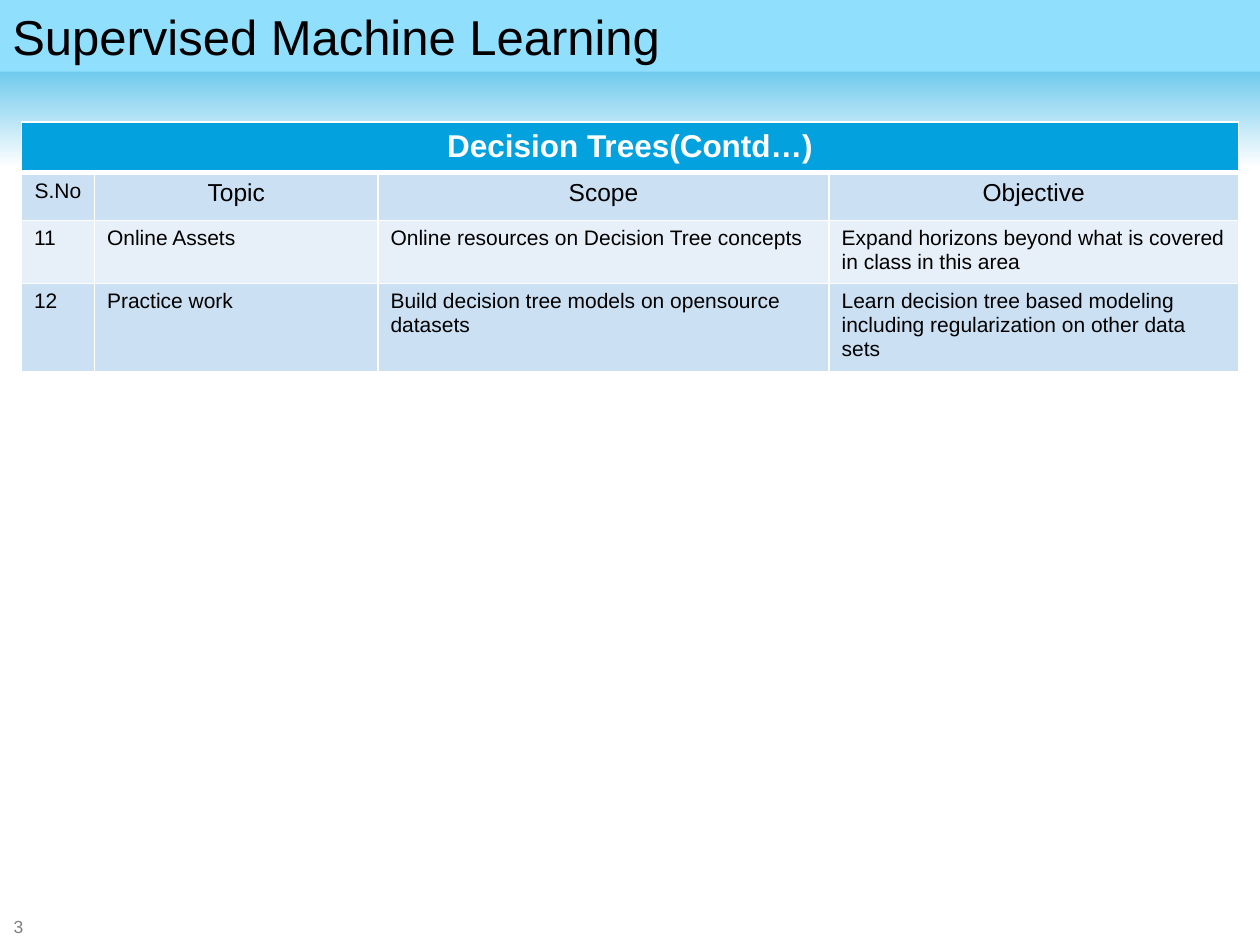
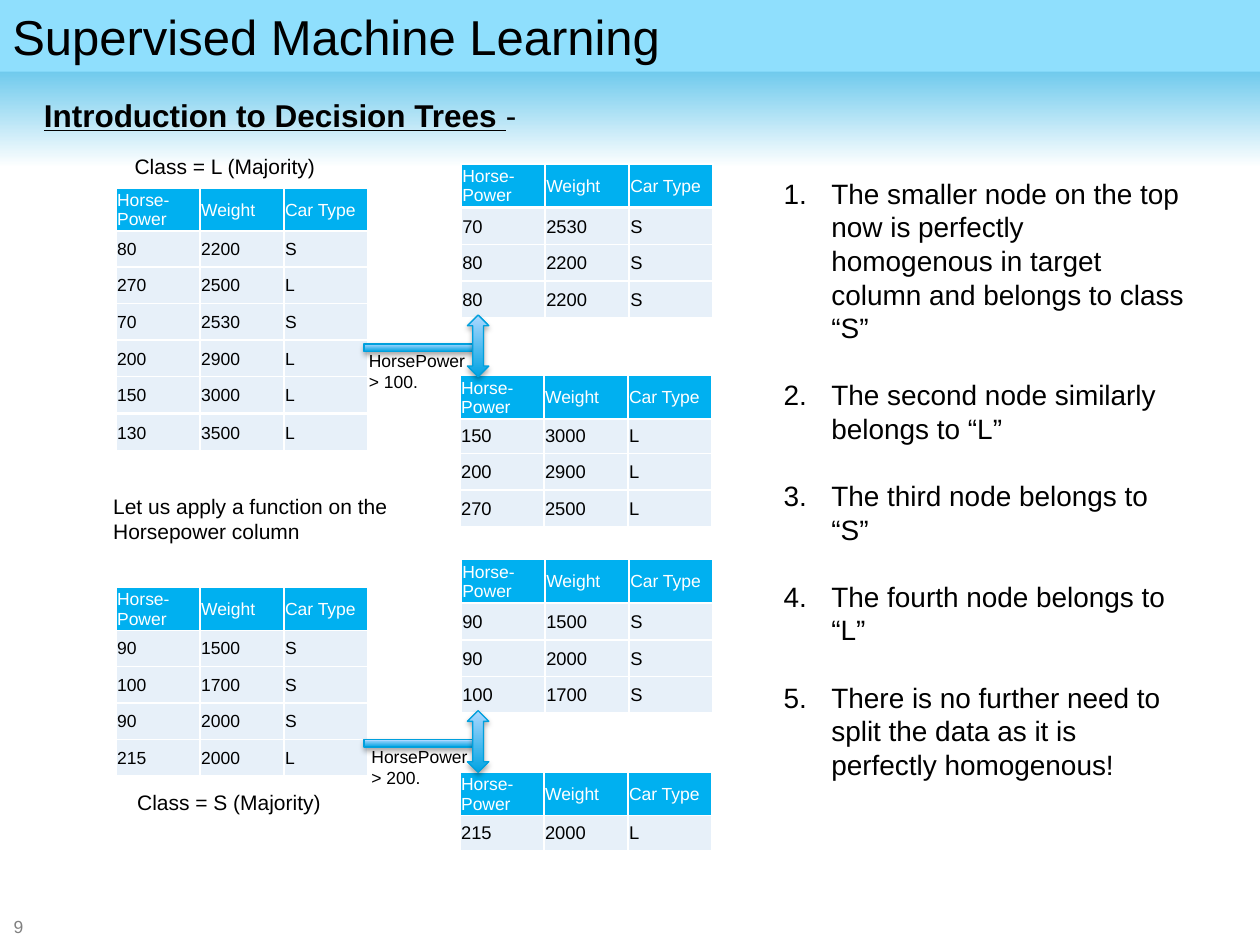
from lxml.etree import SubElement
from pptx import Presentation
from pptx.dml.color import RGBColor
from pptx.enum.shapes import MSO_SHAPE
from pptx.enum.text import MSO_ANCHOR, PP_ALIGN
from pptx.oxml.ns import qn
from pptx.util import Inches, Pt

COLORS = {
    "black": "000000", "white": "FFFFFF", "gray": "808080",
    "title_bar": "8FDFFD", "deep_blue": "03A2DF", "header": "00B0F0",
    "row_dark": "CCE0F3", "row_light": "E7F0F9",
    "arrow_dark": "00A3E2", "arrow_light": "ADD8FF", "arrow_line": "00A0DD",
}
ROW_HEIGHT = 0.29
HEADER_HEIGHT = 0.34
NODE_COLUMNS = [2 / 3] * 3
NODE_HEADER = [["Horse-Power", "Weight", "Car Type"]]
NODE_CELL = {
    "vertical_anchor": MSO_ANCHOR.MIDDLE, "margin_left": Inches(0.01),
    "margin_top": Inches(0.01), "margin_right": Inches(0.01), "margin_bottom": 0,
}
TOPIC_COLUMNS = [0.58, 2.25, 3.58, 3.25]
TOPIC_HEIGHTS = [0.28, 0.38, 0.41, 0.41]
TOPIC_ROWS = [
    ["Decision Trees(Contd…)", "", "", ""],
    ["S.No", "Topic", "Scope", "Objective"],
    ["11", "Online Assets", "Online resources on Decision Tree concepts",
     "Expand horizons beyond what is covered in class in this area"],
    ["12", "Practice work", "Build decision tree models on opensource datasets",
     "Learn decision tree based modeling including regularization on other data sets"],
]
NODE_BODIES = [
    (0.92, 1.83, 1.46, 10, [["80", "2200", "S"], ["270", "2500", "L"], ["70", "2530", "S"],
                            ["200", "2900", "L"], ["150", "3000", "L"]]),
    (0.92, 3.29, 0.29, 10, [["130", "3500", "L"]]),
    (0.92, 5, 1.18, 10, [["90", "1500", "S"], ["100", "1700", "S"],
                         ["90", "2000", "S"], ["215", "2000", "L"]]),
    (3.66, 4.79, 0.89, 10.5, [["90", "1500", "S"], ["90", "2000", "S"], ["100", "1700", "S"]]),
    (3.65, 6.46, 0.29, 10.5, [["215", "2000", "L"]]),
    (3.66, 1.65, 0.88, 10.5, [["70", "2530", "S"], ["80", "2200", "S"], ["80", "2200", "S"]]),
    (3.65, 3.31, 0.88, 10.5, [["150", "3000", "L"], ["200", "2900", "L"], ["270", "2500", "L"]]),
]
HEADER_PLACES = [(0.92, 1.49), (0.92, 4.66), (3.66, 1.3), (3.66, 4.44),
                 (3.65, 2.98), (3.65, 6.13)]
LABELS = [
    (2.83, 2.73, 1, 0.44, "HorsePower> 100.", 10),
    (2.85, 5.87, 1, 0.44, "HorsePower> 200.", 10),
    (0.97, 1.17, 1.68, 0.3, "Class = L (Majority)", 12),
    (0.99, 6.22, 1.68, 0.3, "Class = S (Majority)", 12),
    (0.8, 3.87, 2.58, 0.5, "Let us apply a function on the Horsepower column", 12),
]
FINDINGS = [
    "The smaller node on the top now is perfectly homogenous in target column "
    "and belongs to class “S”",
    "The second node similarly belongs to “L”",
    "The third node belongs to “S”",
    "The fourth node belongs to “L”",
    "There is no further need to split the data as it is perfectly homogenous!",
]


def rgb(name):
    return RGBColor.from_string(COLORS[name])


def apply_format(target, values):
    for name, value in values.items():
        setattr(target, name, value)


def add_run(paragraph, text, size, color="black", **extra):
    run = paragraph.add_run()
    run.text = text
    apply_format(run.font, {"name": "Arial", "size": Pt(size), **extra})
    run.font.color.rgb = rgb(color)


def fill_solid(target, color):
    target.fill.solid()
    target.fill.fore_color.rgb = rgb(color)


def fill_gradient(shape, colors, angle):
    shape.fill.gradient()
    shape.fill.gradient_angle = angle
    for stop, color in zip(shape.fill.gradient_stops, colors):
        stop.color.rgb = rgb(color)


def add_block(shapes, kind, box):
    shape = shapes.add_shape(kind, *map(Inches, box))
    shape.shadow.inherit = False
    shape.line.fill.background()
    return shape


def add_text_box(slide, box, wrap=True):
    frame = slide.shapes.add_textbox(*map(Inches, box)).text_frame
    frame.word_wrap = wrap
    return frame


def add_label(slide, left, top, width, height, text, size, color="black"):
    frame = add_text_box(slide, (left, top, width, height))
    add_run(frame.paragraphs[0], text, size, color)
    return frame


def add_base_slide(presentation, number):
    slide = presentation.slides.add_slide(presentation.slide_layouts[6])
    band = add_block(slide.shapes, MSO_SHAPE.RECTANGLE, (0, 0, 10, 1.33))
    fill_gradient(band, ("deep_blue", "white"), 270)
    footer = add_label(slide, 0.01, 7.27, 0.39, 0.16, number, 10, "gray")
    footer.vertical_anchor = MSO_ANCHOR.MIDDLE
    title = add_block(slide.shapes, MSO_SHAPE.RECTANGLE, (0, 0, 10, 0.57))
    fill_solid(title, "title_bar")
    title.text_frame.vertical_anchor = MSO_ANCHOR.TOP
    paragraph = title.text_frame.paragraphs[0]
    paragraph.alignment = PP_ALIGN.LEFT
    add_run(paragraph, "Supervised Machine Learning", 28)
    return slide


def set_borders(cell, bottom_width=1):
    properties = cell._tc.get_or_add_tcPr()
    for side, width in (("L", 1), ("R", 1), ("T", 1), ("B", bottom_width)):
        line = SubElement(properties, qn(f"a:ln{side}"), w=str(Pt(width)))
        fill = SubElement(line, qn("a:solidFill"))
        SubElement(fill, qn("a:srgbClr"), val=COLORS["white"])


def add_table(slide, left, top, height, columns, row_heights):
    frame = slide.shapes.add_table(
        len(row_heights), len(columns), Inches(left), Inches(top),
        Inches(sum(columns)), Inches(height))
    table = frame.table
    apply_format(table, {"first_row": False, "horz_banding": False})
    for column, width in zip(table.columns, columns):
        column.width = Inches(width)
    for row, row_height in zip(table.rows, row_heights):
        row.height = Inches(row_height)
    frame.height = Inches(height)
    return table


def fill_cell(cell, text, size, fill, color="black", centered=False, bottom_width=1, **extra):
    set_borders(cell, bottom_width)
    fill_solid(cell, fill)
    paragraph = cell.text_frame.paragraphs[0]
    paragraph.alignment = PP_ALIGN.CENTER if centered else PP_ALIGN.LEFT
    if text:
        add_run(paragraph, text, size, color, **extra)


def add_topic_table(slide):
    table = add_table(slide, 0.17, 0.97, 1.98, TOPIC_COLUMNS, TOPIC_HEIGHTS)
    table.cell(0, 0).merge(table.cell(0, 3))
    for row, texts in enumerate(TOPIC_ROWS):
        for column, text in enumerate(texts):
            cell = table.cell(row, column)
            if row == 0:
                fill_cell(cell, text, 18, "deep_blue", "white", True, 3, bold=True)
            else:
                size = 14 if row == 1 and column else 12
                fill = "row_dark" if row % 2 else "row_light"
                fill_cell(cell, text, size, fill, centered=row == 1)


def add_node_table(slide, left, top, height, size, rows, fill="row_light", color="black"):
    table = add_table(slide, left, top, height, NODE_COLUMNS, [ROW_HEIGHT] * len(rows))
    for row, texts in enumerate(rows):
        for column, text in enumerate(texts):
            cell = table.cell(row, column)
            apply_format(cell, NODE_CELL)
            fill_cell(cell, text, size, fill, color)


def add_soft_shadow(shape):
    effects = shape._element.spPr.find(qn("a:effectLst"))
    shadow = SubElement(effects, qn("a:outerShdw"), blurRad=str(Pt(3.1)),
                        dist=str(Pt(1.8)), dir="5400000", rotWithShape="0")
    color = SubElement(shadow, qn("a:srgbClr"), val=COLORS["black"])
    SubElement(color, qn("a:alpha"), val="35000")


def add_split_arrow(slide, top):
    group = slide.shapes.add_group_shape()
    parts = [
        (MSO_SHAPE.RECTANGLE, (2.89, top + 0.23, 0.87, 0.06)),
        (MSO_SHAPE.UP_DOWN_ARROW, (3.71, top, 0.17, 0.49)),
    ]
    for kind, box in parts:
        shape = add_block(group.shapes, kind, box)
        fill_gradient(shape, ("arrow_dark", "arrow_light"), 90)
        shape.line.color.rgb = rgb("arrow_line")
        shape.line.width = Pt(0.75)
        add_soft_shadow(shape)


def add_numbered_list(slide, box, items, size):
    frame = add_text_box(slide, box)
    for index, text in enumerate(items):
        paragraph = frame.add_paragraph() if index else frame.paragraphs[0]
        properties = paragraph._p.get_or_add_pPr()
        properties.set("marL", str(Inches(0.38)))
        properties.set("indent", str(-Inches(0.38)))
        SubElement(properties, qn("a:buAutoNum"), type="arabicPeriod")
        paragraph.space_after = Pt(19.2)
        add_run(paragraph, text, size)


def add_heading(slide):
    paragraph = add_text_box(slide, (0.25, 0.71, 3.99, 0.4), wrap=False).paragraphs[0]
    add_run(paragraph, "Introduction to Decision Trees ", 18, bold=True, underline=True)
    add_run(paragraph, "-", 18)


def build_topics_slide(presentation):
    slide = add_base_slide(presentation, "3")
    add_topic_table(slide)


def build_tree_slide(presentation):
    slide = add_base_slide(presentation, "9")
    for body in NODE_BODIES:
        add_node_table(slide, *body)
    for left, top in HEADER_PLACES:
        add_node_table(slide, left, top, HEADER_HEIGHT, 10, NODE_HEADER, "header", "white")
    for top in (2.5, 5.64):
        add_split_arrow(slide, top)
    for label in LABELS:
        add_label(slide, *label)
    add_numbered_list(slide, (6.12, 1.35, 3.42, 5.25), FINDINGS, 16)
    add_heading(slide)


def main():
    presentation = Presentation()
    apply_format(presentation, {"slide_width": Inches(10), "slide_height": Inches(7.5)})
    build_topics_slide(presentation)
    build_tree_slide(presentation)
    presentation.save("out.pptx")


if __name__ == "__main__":
    main()
